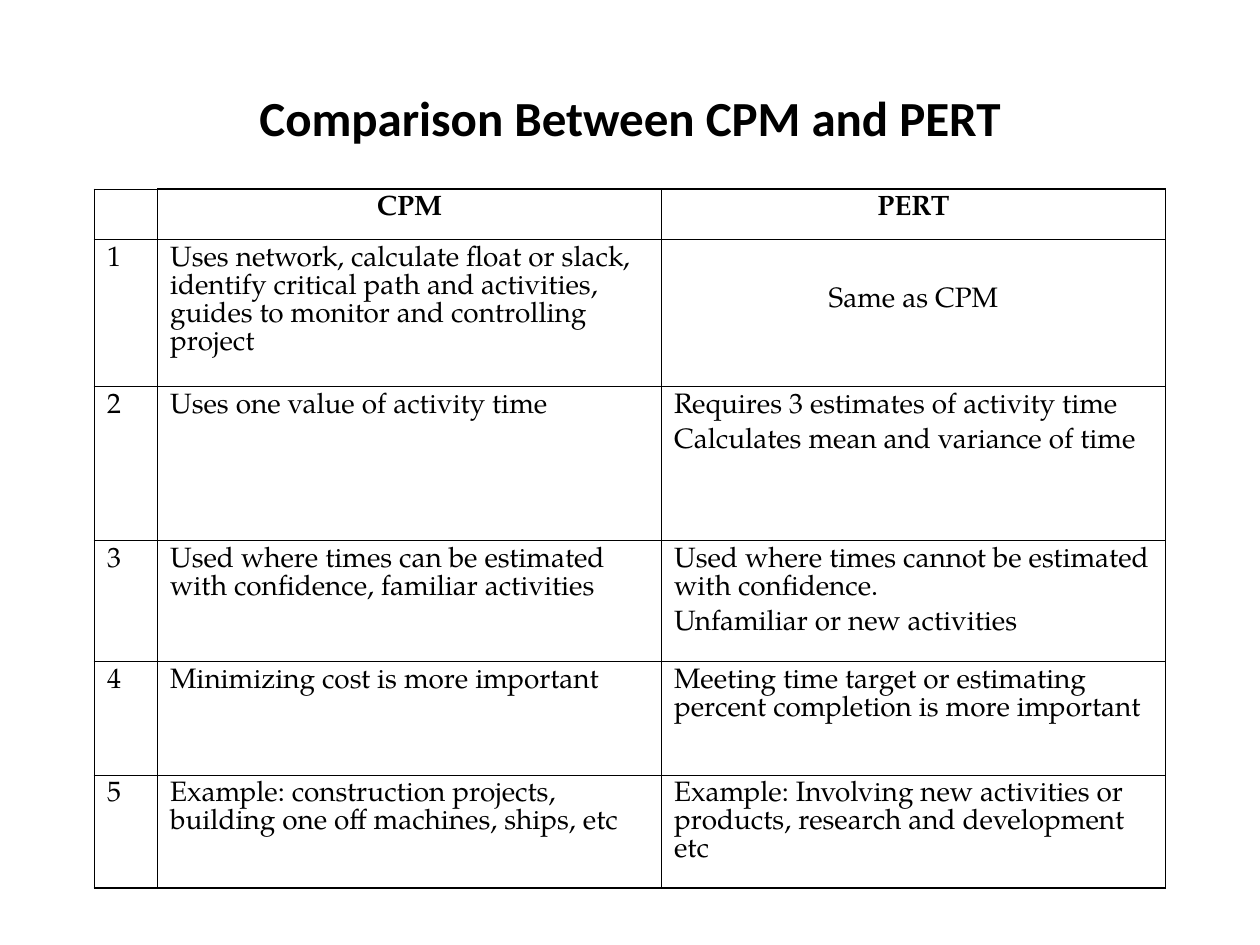
from dataclasses import dataclass

from lxml.etree import SubElement
from pptx import Presentation
from pptx.dml.color import RGBColor
from pptx.enum.text import MSO_ANCHOR, PP_ALIGN
from pptx.oxml.ns import qn
from pptx.util import Inches, Pt


@dataclass(frozen=True)
class Theme:
    ink: str = "000000"
    title_font: str = "Calibri"
    body_font: str = "TeX Gyre Pagella"
    title_size: float = 28
    body_size: float = 16
    paragraph_gap: float = 4
    thin: float = 0.45
    thick: float = 1.08


THEME = Theme()
MARGIN = 0.75
COLUMNS = (0.5, 4, 4)
ROWS = (0.4, 1.17, 1.22, 0.96, 0.9, 0.9)
COMPARISON = (
    ("", "CPM", "PERT"),
    ("1",
     "Uses network, calculate float or slack, identify critical path and activities, "
     "guides to monitor and controlling project",
     "Same as CPM"),
    ("2",
     "Uses one value of activity time",
     "Requires 3 estimates of activity time\nCalculates mean and variance of time"),
    ("3",
     "Used where times can be estimated with confidence, familiar activities",
     "Used where times cannot be estimated with confidence.\nUnfamiliar or new activities"),
    ("4",
     "Minimizing cost is more important",
     "Meeting time target or estimating percent completion is more important"),
    ("5",
     "Example: construction projects, building one off machines, ships, etc",
     "Example: Involving new activities or products, research and development etc"),
)


def style_text(frame, face, size, bold, align):
    for index, paragraph in enumerate(frame.paragraphs):
        paragraph.alignment = align
        if index:
            paragraph.space_before = Pt(THEME.paragraph_gap)
        for run in paragraph.runs:
            run.font.name = face
            run.font.size = Pt(size)
            run.font.bold = bold
            run.font.color.rgb = RGBColor.from_string(THEME.ink)


def add_title(slide, wording):
    heading = slide.shapes.add_textbox(
        Inches(MARGIN), Inches(0.67), Inches(sum(COLUMNS)), Inches(0.58)
    ).text_frame
    heading.word_wrap = True
    heading.vertical_anchor = MSO_ANCHOR.MIDDLE
    heading.text = wording
    style_text(heading, THEME.title_font, THEME.title_size, True, PP_ALIGN.CENTER)
    heading.paragraphs[0].line_spacing = 0.9


def set_borders(cell, row, column):
    outer_edges = {
        "L": column == 0,
        "R": column == len(COLUMNS) - 1,
        "T": row == 0 and column > 0,
        "B": row == len(ROWS) - 1,
    }
    properties = cell._tc.get_or_add_tcPr()
    for position, (side, outer) in enumerate(outer_edges.items()):
        width = Pt(THEME.thick if outer else THEME.thin)
        border = SubElement(properties, qn(f"a:ln{side}"), w=str(width))
        ink = SubElement(border, qn("a:solidFill"))
        SubElement(ink, qn("a:srgbClr"), val=THEME.ink)
        properties.insert(position, border)


def fill_cell(cell, wording, row, column):
    cell.fill.background()
    set_borders(cell, row, column)
    if not wording:
        return
    shared = wording.startswith("Same")
    cell.text_frame.text = wording
    align = PP_ALIGN.CENTER if row == 0 or shared else PP_ALIGN.LEFT
    style_text(cell.text_frame, THEME.body_font, THEME.body_size, row == 0, align)
    if shared:
        cell.margin_top = Inches(0.38)


def add_comparison(slide):
    table = slide.shapes.add_table(
        len(ROWS), len(COLUMNS), Inches(MARGIN), Inches(2 * MARGIN),
        Inches(sum(COLUMNS)), Inches(sum(ROWS))
    ).table
    table.first_row = False
    table.horz_banding = False
    for column, width in zip(table.columns, COLUMNS):
        column.width = Inches(width)
    for row, height in zip(table.rows, ROWS):
        row.height = Inches(height)
    for row, entries in enumerate(COMPARISON):
        for column, wording in enumerate(entries):
            fill_cell(table.cell(row, column), wording, row, column)


def main():
    deck = Presentation()
    deck.slide_width, deck.slide_height = Inches(10), Inches(7.5)
    slide = deck.slides.add_slide(deck.slide_layouts[6])
    add_title(slide, "Comparison Between CPM and PERT")
    add_comparison(slide)
    deck.save("out.pptx")


if __name__ == "__main__":
    main()
